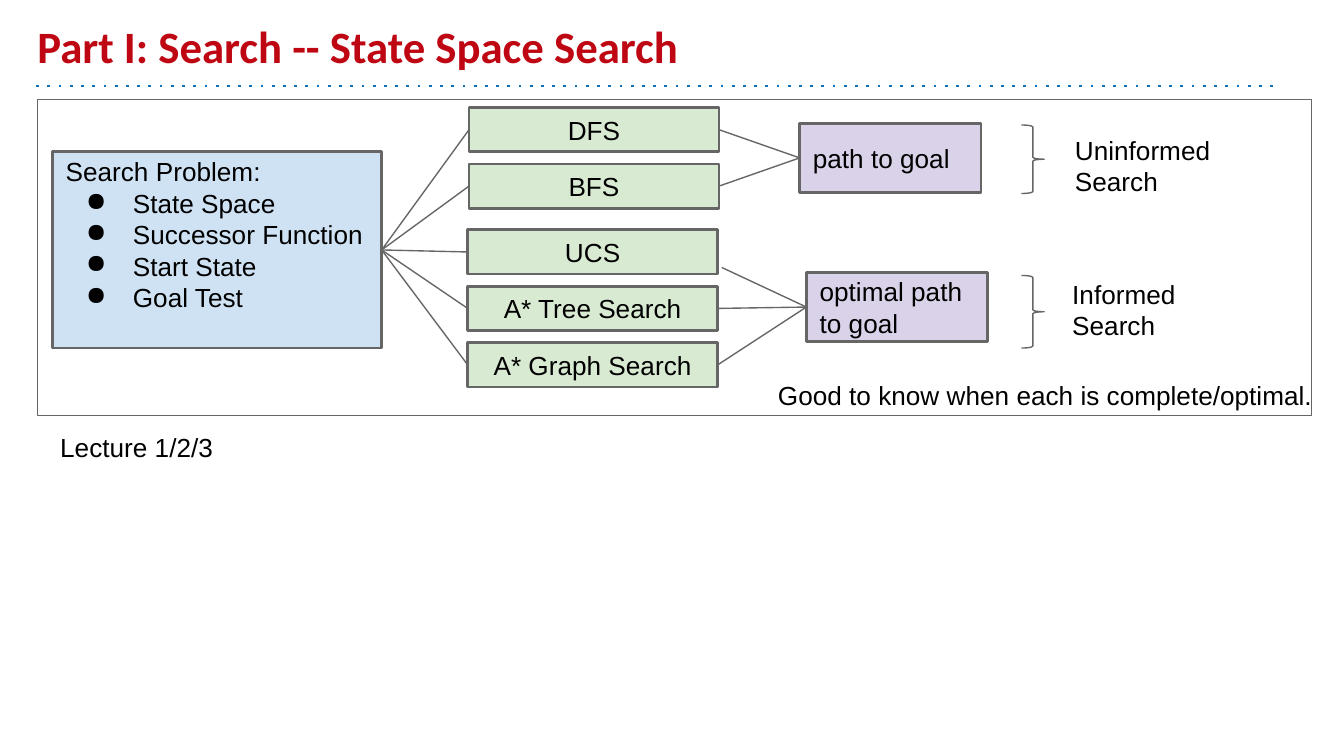
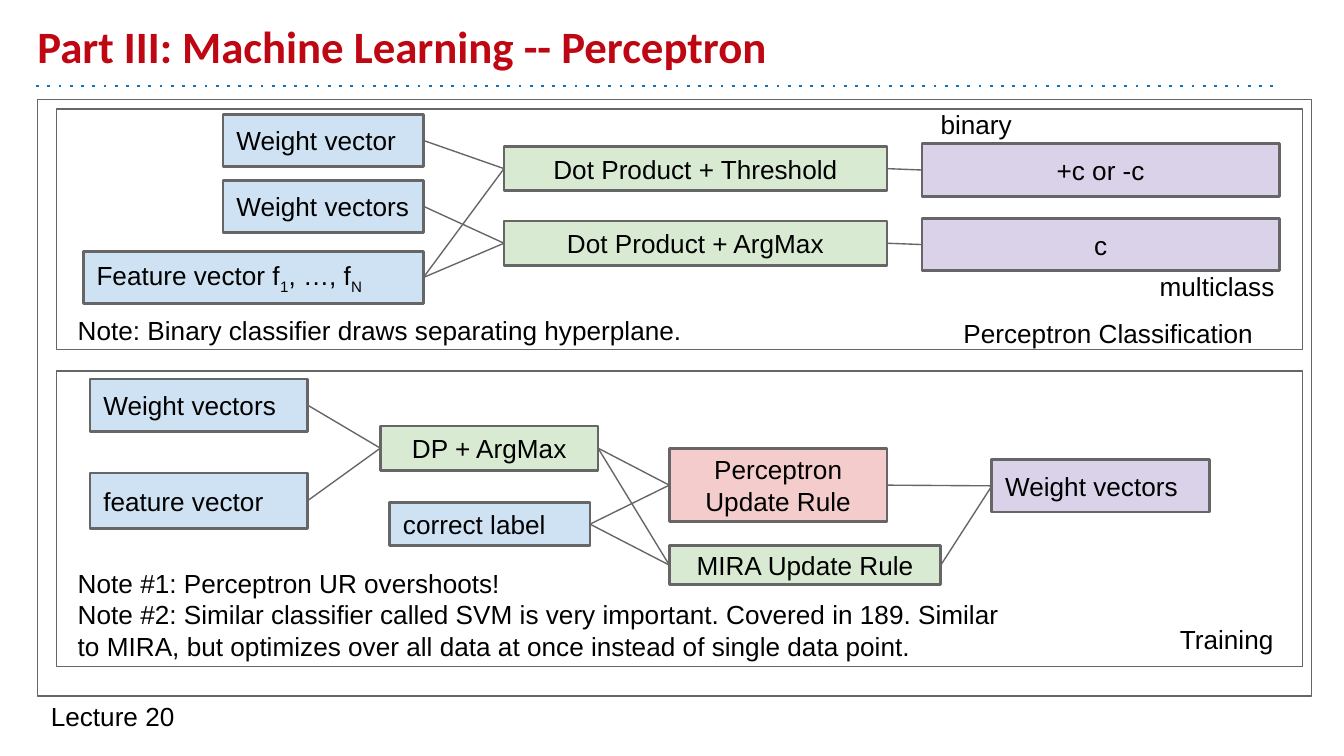
from lxml.etree import SubElement
from pptx import Presentation
from pptx.dml.color import RGBColor
from pptx.enum.shapes import MSO_CONNECTOR, MSO_SHAPE as Preset
from pptx.enum.text import MSO_ANCHOR as Anchor, PP_ALIGN as Align
from pptx.oxml.ns import qn
from pptx.util import Inches, Pt

THEME = {
    "title": ("Calibri", 24, "BE0712", True),
    "body": ("Arial", 14, "000000", False),
    "outline": "666666",
    "rule": "1072BD",
    "thin": 0.75,
    "thick": 1.5,
    "inset": 0.1,
}
STYLES = {
    "input": ("CFE2F3", Align.LEFT),
    "method": ("D9EAD3", Align.CENTER),
    "update": ("F4CCCC", Align.CENTER),
    "goal": ("D9D2E9", Align.LEFT),
    "class": ("D9D2E9", Align.CENTER),
}
PAGE = (10, 5.625)
TITLE_AREA = (0.18, 0.1, 9, 0.54)
RULE = (0.27, 0.64, 9.5)
FRAME_LEFT, FRAME_TOP, FRAME_WIDTH = 0.28, 0.74, 9.48
PANEL_LEFT, PANEL_WIDTH = 0.42, 9.27
RIGHT_SITE, LEFT_SITE = 3, 1

SEARCH_PITCH, UNINFORMED_TOP, INFORMED_TOP = 0.42, 0.8, 1.71
CLASSIFY_PITCH = 0.555

SEARCH = {
    "title": "Part I: Search -- State Space Search",
    "frame_height": 2.35,
    "panels": [],
    "columns": {
        "problem": (0.39, 2.45),
        "uninformed": (3.49, 1.86),
        "informed": (3.48, 1.86),
        "path": (5.95, 1.35),
        "optimal": (6, 1.35),
    },
    "boxes": {
        "problem": ("input", "problem", 1.13, 1.46, [
            "Search Problem:", "• State Space", "• Successor Function",
            "• Start State", "• Goal Test"]),
        **{name: ("method", "uninformed", UNINFORMED_TOP + row * SEARCH_PITCH, 0.33, [name])
           for row, name in enumerate(["DFS", "BFS"])},
        **{name: ("method", "informed", INFORMED_TOP + row * SEARCH_PITCH, 0.33, [name])
           for row, name in enumerate(["UCS", "A* Tree Search", "A* Graph Search"])},
        "path": ("goal", "path", 0.92, 0.51, ["path to goal"]),
        "optimal": ("goal", "optimal", 2.03, 0.51, ["optimal path to goal"]),
    },
    "braces": [(7.6, 0.93, 0.17, 0.51), (7.6, 2.05, 0.17, 0.54)],
    "labels": [
        ((5.69, 2.72, 4.27, 0.43), ["Good to know when each is complete/optimal."]),
        ((7.9, 0.9, 1.23, 0.51), ["Uninformed Search"]),
        ((7.88, 1.97, 1.23, 0.51), ["Informed Search"]),
        ((0.35, 3.11, 1.44, 0.55), ["Lecture 1/2/3"]),
    ],
    "links": {
        "problem": ["DFS", "BFS", "UCS", "A* Tree Search", "A* Graph Search"],
        "DFS": ["path"],
        "BFS": ["path"],
        "UCS": ["optimal"],
        "A* Tree Search": ["optimal"],
        "A* Graph Search": ["optimal"],
    },
    "loose_starts": {"UCS": (5.37, 1.99)},
}

PERCEPTRON = {
    "title": "Part III: Machine Learning -- Perceptron",
    "frame_height": 4.44,
    "panels": [(2.76, 2.2), (0.81, 1.79)],
    "columns": {
        "weights": (1.66, 1.49),
        "features": (0.62, 2.53),
        "product": (3.75, 2.85),
        "class": (6.86, 2.66),
        "training": (0.67, 1.62),
        "predict": (2.83, 1.62),
        "label": (2.9, 1.49),
        "update": (4.98, 1.62),
        "mira": (4.98, 2.02),
        "learned": (7.38, 1.62),
    },
    "boxes": {
        "vector": ("input", "weights", 0.85, 0.39, ["Weight vector"]),
        "vectors": ("input", "weights", 1.34, 0.39, ["Weight vectors"]),
        "features": ("input", "features", 1.87, 0.39, ["Feature vector f_1_, …, f_N_"]),
        **{name: ("method", "product", 1.09 + row * CLASSIFY_PITCH, 0.33,
                  [f"Dot Product + {name}"])
           for row, name in enumerate(["Threshold", "ArgMax"])},
        **{name: ("class", "class", 1.07 + row * CLASSIFY_PITCH, 0.39, [name])
           for row, name in enumerate(["+c or -c", "c"])},
        "old": ("input", "training", 2.82, 0.39, ["Weight vectors"]),
        "feature": ("input", "training", 3.52, 0.41, ["feature vector"]),
        "predict": ("method", "predict", 3.17, 0.33, ["DP + ArgMax"]),
        "label": ("input", "label", 3.74, 0.32, ["correct label"]),
        "update": ("update", "update", 3.34, 0.54, ["Perceptron Update Rule"]),
        "mira": ("method", "mira", 4.06, 0.29, ["MIRA Update Rule"]),
        "learned": ("goal", "learned", 3.42, 0.39, ["Weight vectors"]),
    },
    "braces": [],
    "labels": [
        ((0.28, 5.11, 2.4, 0.55), ["Lecture 20"]),
        ((7.07, 2.26, 2.45, 0.33), ["Perceptron Classification"]),
        ((8.68, 4.54, 0.95, 0.33), ["Training"]),
        ((6.9, 0.71, 1.26, 0.21), ["binary"]),
        ((8.53, 1.91, 1.26, 0.21), ["multiclass"]),
        ((0.48, 2.24, 4.74, 0.27), ["Note: Binary classifier draws separating hyperplane."]),
        ((0.48, 4.12, 7.25, 0.59), [
            "Note #1: Perceptron UR overshoots!",
            "Note #2: Similar classifier called SVM is very important. Covered in 189. "
            "Similar to MIRA, but optimizes over all data at once instead of single data point."]),
    ],
    "links": {
        "vector": ["Threshold"],
        "vectors": ["ArgMax"],
        "features": ["Threshold", "ArgMax"],
        "Threshold": ["+c or -c"],
        "ArgMax": ["c"],
        "old": ["predict"],
        "feature": ["predict"],
        "predict": ["update", "mira"],
        "label": ["update", "mira"],
        "update": ["learned"],
        "mira": ["learned"],
    },
    "loose_starts": {},
}


def place(area):
    return [Inches(length) for length in area]


def rgb(code):
    return RGBColor.from_string(code)


def write(shape, lines, role="body", align=Align.LEFT, anchor=Anchor.TOP, top=THEME["inset"]):
    frame = shape.text_frame
    frame.word_wrap = True
    frame.vertical_anchor = anchor
    frame.margin_left = frame.margin_right = frame.margin_bottom = Inches(THEME["inset"])
    frame.margin_top = Inches(top)
    family, size, color, bold = THEME[role]
    for number, line in enumerate(lines):
        paragraph = frame.add_paragraph() if number else frame.paragraphs[0]
        paragraph.alignment = align
        if line.startswith("• "):
            line = line[2:]
            props = paragraph._p.get_or_add_pPr()
            props.set("marL", str(Inches(0.5)))
            props.set("indent", str(-Inches(0.35)))
            SubElement(props, qn("a:buChar")).set("char", "●")
        for part, words in enumerate(line.split("_")):
            if words:
                run = paragraph.add_run()
                run.text = words
                if part % 2:
                    run._r.get_or_add_rPr().set("baseline", "-25000")
        font = paragraph.font
        font.name, font.size, font.bold = family, Pt(size), bold
        font.color.rgb = rgb(color)


def add_label(slide, area, lines, **style):
    write(slide.shapes.add_textbox(*place(area)), lines, **style)


def add_outline(slide, preset, area, fill=None, weight=THEME["thin"]):
    shape = slide.shapes.add_shape(preset, *place(area))
    shape.shadow.inherit = False
    if fill:
        shape.fill.solid()
        shape.fill.fore_color.rgb = rgb(fill)
    else:
        shape.fill.background()
    shape.line.color.rgb = rgb(THEME["outline"])
    shape.line.width = Pt(weight)
    return shape


def add_line(slide, start, end, color=THEME["outline"], weight=THEME["thin"]):
    line = slide.shapes.add_connector(MSO_CONNECTOR.STRAIGHT, *place(start + end))
    line.line.color.rgb = rgb(color)
    line.line.width = Pt(weight)
    SubElement(line._element.spPr, qn("a:effectLst"))
    return line


def add_header(slide, title):
    left, top, right = RULE
    rule = add_line(slide, (left, top), (right, top), THEME["rule"], THEME["thick"])
    SubElement(rule._element.spPr.find(qn("a:ln")), qn("a:prstDash")).set("val", "dot")
    add_label(slide, TITLE_AREA, [title], role="title", anchor=Anchor.BOTTOM)


def add_box(slide, columns, kind, column, top, height, lines):
    fill, align = STYLES[kind]
    left, width = columns[column]
    box = add_outline(slide, Preset.RECTANGLE, (left, top, width, height), fill, THEME["thick"])
    if len(lines) > 1:
        write(box, lines, align=align, top=0.03)
    else:
        write(box, lines, align=align, anchor=Anchor.MIDDLE)
    return box


def build(deck, topic):
    slide = deck.slides.add_slide(deck.slide_layouts[6])
    add_header(slide, topic["title"])
    add_outline(slide, Preset.RECTANGLE,
                (FRAME_LEFT, FRAME_TOP, FRAME_WIDTH, topic["frame_height"]))
    for top, height in topic["panels"]:
        add_outline(slide, Preset.RECTANGLE, (PANEL_LEFT, top, PANEL_WIDTH, height))
    boxes = {name: add_box(slide, topic["columns"], *box)
             for name, box in topic["boxes"].items()}
    for area in topic["braces"]:
        add_outline(slide, Preset.RIGHT_BRACE, area)
    for area, lines in topic["labels"]:
        add_label(slide, area, lines)
    for source, targets in topic["links"].items():
        loose = topic["loose_starts"].get(source)
        for target in targets:
            link = add_line(slide, loose or (0, 0), (1, 1))
            if not loose:
                link.begin_connect(boxes[source], RIGHT_SITE)
            link.end_connect(boxes[target], LEFT_SITE)


def main():
    deck = Presentation()
    deck.slide_width, deck.slide_height = place(PAGE)
    for topic in (SEARCH, PERCEPTRON):
        build(deck, topic)
    deck.save("out.pptx")


if __name__ == "__main__":
    main()
